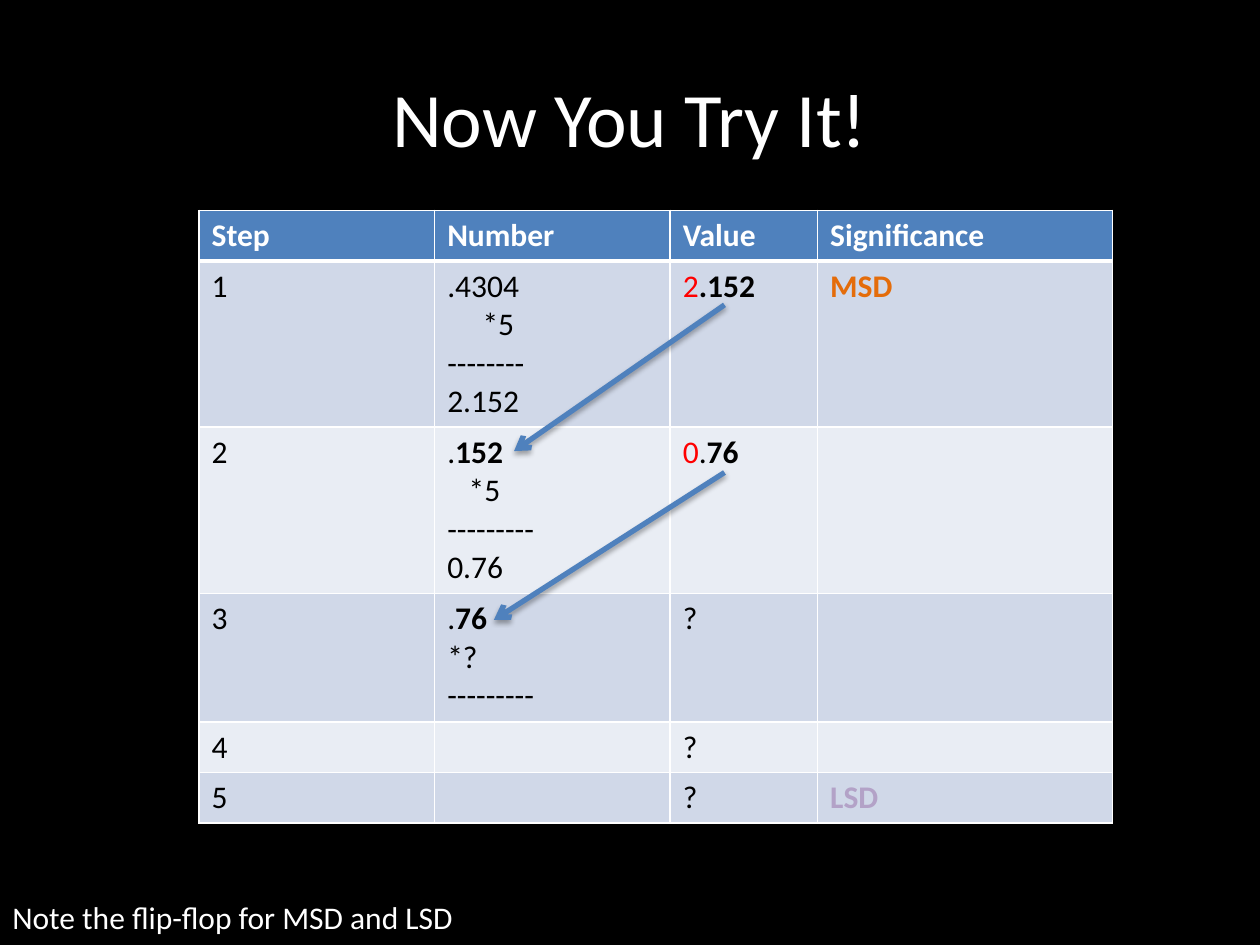
from dataclasses import dataclass

from lxml import etree
from pptx import Presentation
from pptx.dml.color import RGBColor
from pptx.enum import shapes, text
from pptx.oxml import ns
from pptx.util import Inches, Pt


@dataclass(frozen=True)
class Theme:
    font: str = "Calibri"
    back: str = "000000"
    white: str = "FFFFFF"
    ink: str = "000000"
    blue: str = "4F81BD"
    red: str = "FF0000"
    orange: str = "E46C0A"
    purple: str = "B3A2C7"
    bands: tuple = ("D0D8E8", "E9EDF4")
    title: int = 44
    body: int = 18
    rule: int = 1
    thick: int = 3


def rgb(code):
    return RGBColor.from_string(code)


def add(parent, tag, **values):
    node = etree.SubElement(parent, ns.qn(tag))
    for key, val in values.items():
        node.set(key, str(val))
    return node


class Deck:
    def __init__(self, theme):
        self.theme = theme
        self.prs = Presentation()
        self.prs.slide_width, self.prs.slide_height = Inches(10), Inches(7.5)
        self.slide = self.prs.slides.add_slide(self.prs.slide_layouts[6])
        fill = self.slide.background.fill
        fill.solid()
        fill.fore_color.rgb = rgb(theme.back)

    def put(self, para, words, size, color, bold=False):
        """Add one styled run to a paragraph."""
        run = para.add_run()
        run.text = words
        form = {"name": self.theme.font, "size": Pt(size), "bold": bold}
        for key, val in form.items():
            setattr(run.font, key, val)
        run.font.color.rgb = rgb(color)

    def label(self, words, box, size, **form):
        frame = self.slide.shapes.add_textbox(*map(Inches, box)).text_frame
        for key, val in form.items():
            setattr(frame, key, val)
        self.put(frame.paragraphs[0], words, size, self.theme.white)
        return frame.paragraphs[0]

    def border(self, cell, top, base):
        """Draw the four cell borders; they must come before the fill."""
        props = cell._tc.get_or_add_tcPr()
        widths = {"L": self.theme.rule, "R": self.theme.rule, "T": top, "B": base}
        for spot, (side, width) in enumerate(widths.items()):
            line = add(props, f"a:ln{side}", w=Pt(width))
            add(add(line, "a:solidFill"), "a:srgbClr", val=self.theme.white)
            props.insert(spot, line)

    def fill(self, cell, lines, color, bold):
        """Fill in lines of (indent, runs); a run is (words, color, bold)."""
        for num, (indent, runs) in enumerate(lines):
            frame = cell.text_frame
            para = frame.add_paragraph() if num else frame.paragraphs[0]
            if indent:
                para._p.get_or_add_pPr().set("marL", str(Inches(indent)))
            for words, tint, heavy in runs:
                self.put(para, words, self.theme.body, tint or color, heavy or bold)

    def table(self, spot, cols, highs, rows):
        size = sum(cols), sum(highs)
        grid = self.slide.shapes.add_table(
            len(rows), len(cols), *map(Inches, (*spot, *size))).table
        for col, width in zip(grid.columns, cols):
            col.width = Inches(width)
        look = self.theme
        for r, row in enumerate(rows):
            grid.rows[r].height = Inches(highs[r])
            head = r == 0
            for c, lines in enumerate(row):
                cell = grid.cell(r, c)
                cell.fill.solid()
                tint = look.blue if head else look.bands[(r - 1) % 2]
                cell.fill.fore_color.rgb = rgb(tint)
                self.border(cell, look.thick if r == 1 else look.rule,
                            look.thick if head else look.rule)
                self.fill(cell, lines, look.white if head else look.ink, head)

    def arrow(self, start, end):
        line = self.slide.shapes.add_connector(
            shapes.MSO_CONNECTOR.STRAIGHT, *map(Inches, (*start, *end)))
        line.line.color.rgb = rgb(self.theme.blue)
        line.line.width = Pt(self.theme.thick)
        props = line._element.spPr
        add(props.find(ns.qn("a:ln")), "a:tailEnd", type="arrow")
        shade = add(add(props, "a:effectLst"), "a:outerShdw", blurRad=Pt(3.1),
                    dist=Pt(1.8), dir=90 * 60000, rotWithShape=0)
        add(add(shade, "a:srgbClr", val=self.theme.ink), "a:alpha", val=35000)


def plain(*lines):
    return [(0, [(words, None, False)]) for words in lines]


def mixed(*runs, indent=0):
    return [(indent, list(runs))]


def main():
    look = Theme()
    deck = Deck(look)
    title = deck.label("Now You Try It!", (0.5, 0.3, 9, 1.25), look.title,
                       word_wrap=True, vertical_anchor=text.MSO_ANCHOR.MIDDLE)
    title.alignment = text.PP_ALIGN.CENTER

    dot = (".", None, False)
    times = ("*5", None, False)
    rows = [
        [plain(word) for word in ("Step", "Number", "Value", "Significance")],
        [plain("1"),
         plain(".4304") + mixed(times, indent=0.28) + plain("--------", "2.152"),
         mixed(("2", look.red, False), (".152", None, True)),
         mixed(("MSD", look.orange, True))],
        [plain("2"),
         mixed(dot, ("152", None, True)) + mixed(times, indent=0.17)
         + plain("---------", "0.76"),
         mixed(("0", look.red, False), dot, ("76", None, True)), []],
        [plain("3"),
         mixed(dot, ("76", None, True)) + plain("*?", "---------"),
         plain("?"), []],
        [plain("4"), [], plain("?"), []],
        [plain("5"), [], plain("?"), mixed(("LSD", look.purple, True))],
    ]
    deck.table((1.58, 1.67), (1.87, 1.87, 1.17, 2.34),
               (0.4, 1.32, 1.32, 1.02, 0.4, 0.4), rows)

    deck.label("Note the flip-flop for MSD and LSD", (0, 7.08, 3.74, 0.71),
               look.body, word_wrap=False)
    deck.arrow((5.75, 2.42), (4.08, 3.58))
    deck.arrow((5.75, 3.75), (3.92, 4.92))
    deck.prs.save("out.pptx")


if __name__ == "__main__":
    main()
